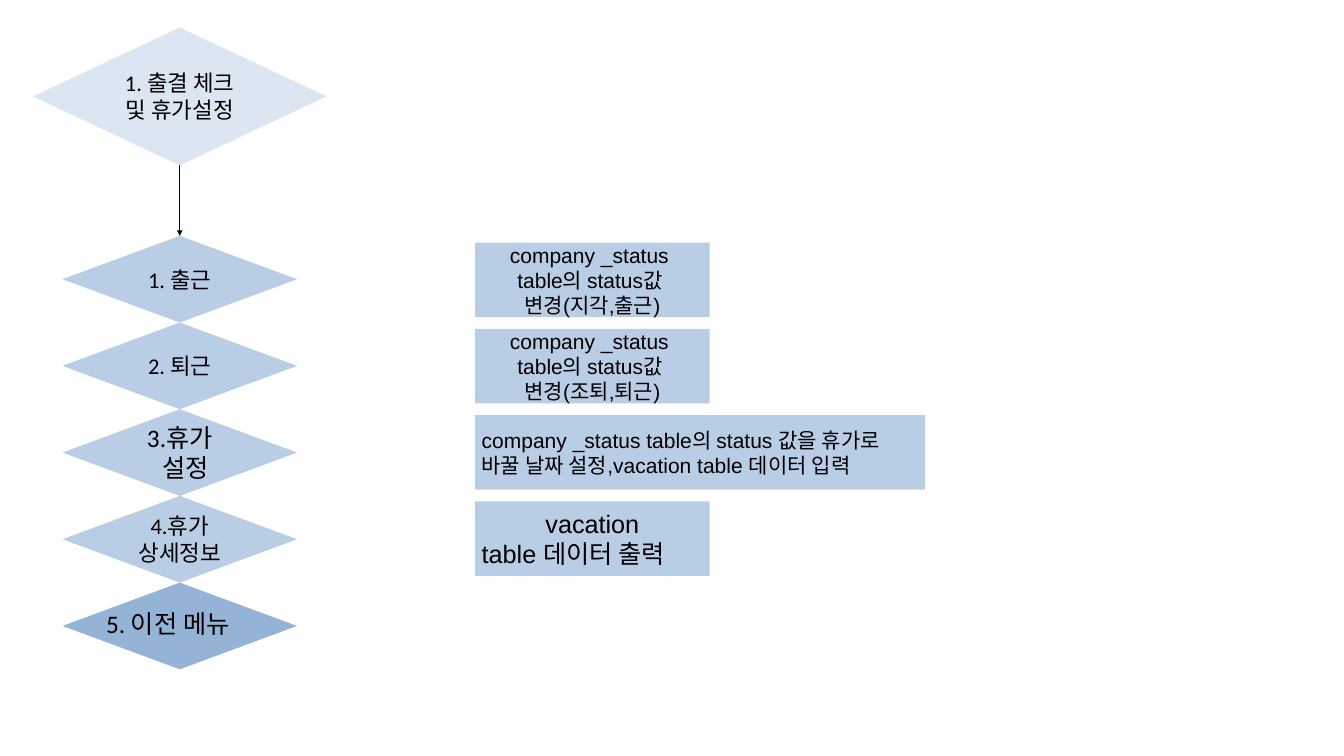
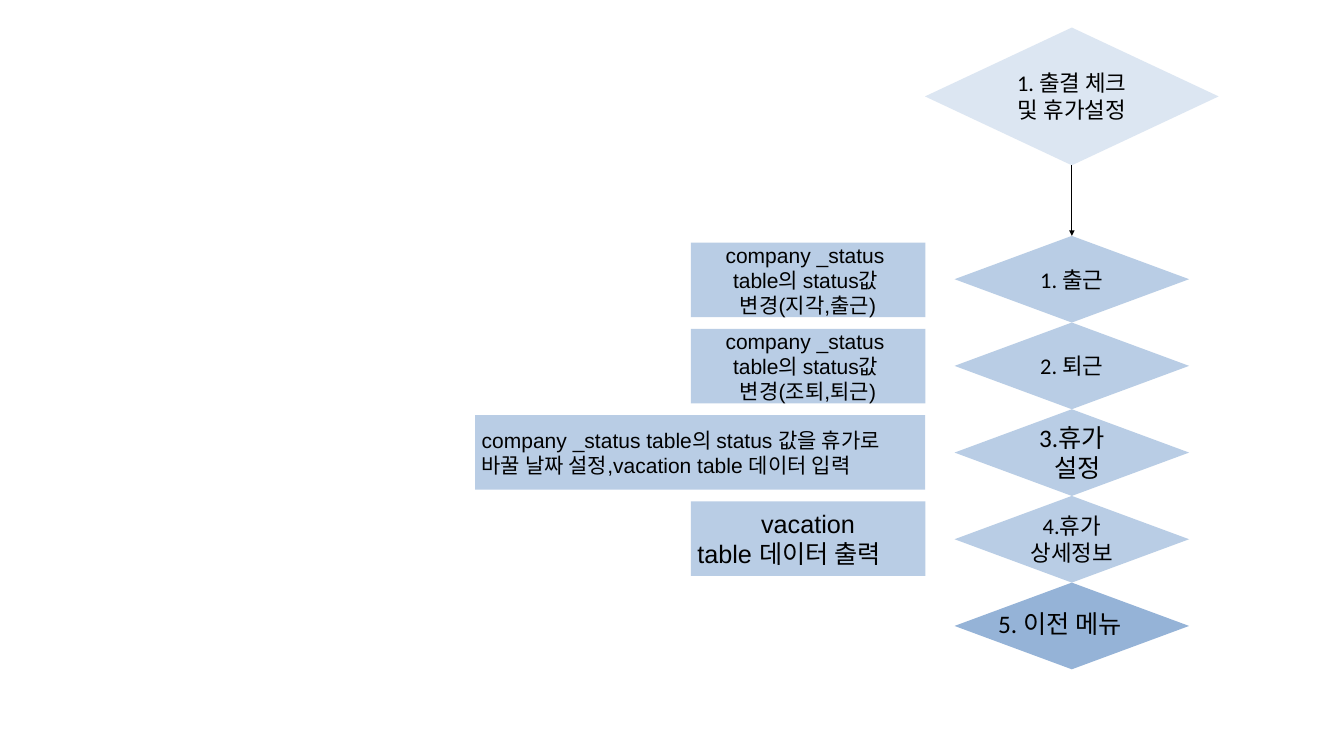
from dataclasses import dataclass

from lxml.etree import SubElement
from pptx import Presentation
from pptx.dml.color import RGBColor
from pptx.enum.shapes import MSO_CONNECTOR, MSO_SHAPE
from pptx.enum.text import MSO_ANCHOR, MSO_AUTO_SIZE, PP_ALIGN
from pptx.oxml.ns import qn
from pptx.util import Pt


@dataclass(frozen=True)
class Theme:
    start: RGBColor = RGBColor(0xDC, 0xE6, 0xF2)
    step: RGBColor = RGBColor(0xB9, 0xCD, 0xE5)
    back: RGBColor = RGBColor(0x95, 0xB3, 0xD7)
    ink: RGBColor = RGBColor(0, 0, 0)
    menu_font: str = "Calibri"
    note_font: str = "Arial"
    small: float = 22.5
    normal: float = 24
    large: float = 27


theme = Theme()
CENTER, LEFT = PP_ALIGN.CENTER, PP_ALIGN.LEFT

# Layout in points
START_TOP, START_WIDTH, START_HEIGHT = 29.5, 314.6, 147.6
STEP_TOP, STEP_WIDTH, STEP_HEIGHT = 252.7, 251.3, 92.88
NOTE_TOP, NOTE_HEIGHT, NOTE_PITCH = 259.9, 79.9, 92.4
NOTE_WIDTH, WIDE_NOTE_WIDTH = 251.3, 482.4
NOTES_LEFT = 509
NOTES_RIGHT = NOTES_LEFT + WIDE_NOTE_WIDTH

# Menu steps: lines, type size, indent of the last line
steps = [
    (["1. 출근"], theme.normal, 0),
    (["2. 퇴근"], theme.normal, 0),
    (["3.휴가", "설정"], theme.large, 12),
    (["4.휴가", "상세정보"], theme.normal, 0),
]

# Notes beside the steps: lines, alignment of each line, type size, width
notes = [
    (["company _status ", "table의 status값 ", "변경(지각,출근)"],
     [CENTER] * 3, theme.small, NOTE_WIDTH),
    (["company _status ", "table의 status값 ", "변경(조퇴,퇴근)"],
     [CENTER] * 3, theme.small, NOTE_WIDTH),
    (["company _status table의 status 값을 휴가로 바꿀 날짜 설정,vacation table 데이터 입력"],
     [LEFT], theme.small, WIDE_NOTE_WIDTH),
    (["vacation", "table 데이터 출력"], [CENTER, LEFT], theme.large, NOTE_WIDTH),
]

# Middle of the menu column and side of the notes that lines up
slide_layouts = [(192.6, "left"), (1148.4, "right")]


def write_lines(shape, lines, alignments, font_name, size):
    text_frame = shape.text_frame
    text_frame.text = "\n".join(lines)
    for paragraph, alignment in zip(text_frame.paragraphs, alignments):
        paragraph.alignment = alignment
        for run in paragraph.runs:
            run.font.name = font_name
            run.font.size = Pt(size)
            run.font.color.rgb = theme.ink


def add_block(slide, kind, left, top, width, height, color):
    shape = slide.shapes.add_shape(kind, Pt(left), Pt(top), Pt(width), Pt(height))
    shape.shadow.inherit = False
    shape.fill.solid()
    shape.fill.fore_color.rgb = color
    shape.line.fill.background()
    shape.text_frame.word_wrap = True
    shape.text_frame.vertical_anchor = MSO_ANCHOR.MIDDLE
    return shape


presentation = Presentation()
presentation.slide_width, presentation.slide_height = Pt(1440), Pt(810)

for menu_center, notes_side in slide_layouts:
    slide = presentation.slides.add_slide(presentation.slide_layouts[6])
    step_left = menu_center - STEP_WIDTH / 2

    # Start of the menu
    start = add_block(slide, MSO_SHAPE.FLOWCHART_DECISION, menu_center - START_WIDTH / 2,
                      START_TOP, START_WIDTH, START_HEIGHT, theme.start)
    write_lines(start, ["1. 출결 체크 및 휴가설정"], [CENTER], theme.menu_font, theme.normal)

    # Stack of menu steps
    step_shapes = []
    for index, (lines, size, indent) in enumerate(steps):
        step = add_block(slide, MSO_SHAPE.FLOWCHART_DECISION, step_left,
                         STEP_TOP + index * STEP_HEIGHT, STEP_WIDTH, STEP_HEIGHT, theme.step)
        write_lines(step, lines, [CENTER] * len(lines), theme.menu_font, size)
        if indent:
            properties = step.text_frame.paragraphs[-1]._p.get_or_add_pPr()
            properties.set("marL", str(Pt(indent)))
        step_shapes.append(step)

    # Arrow from the start to the first step
    arrow = slide.shapes.add_connector(MSO_CONNECTOR.STRAIGHT, 0, 0, 0, 0)
    arrow.begin_connect(start, 2)
    arrow.end_connect(step_shapes[0], 0)
    arrow.line.color.rgb = theme.ink
    arrow.line.width = Pt(0.75)
    SubElement(arrow.line._get_or_add_ln(), qn("a:tailEnd"), type="triangle")
    SubElement(arrow._element.spPr, qn("a:effectLst"))

    # Way back to the previous menu
    back_top = STEP_TOP + len(steps) * STEP_HEIGHT
    add_block(slide, MSO_SHAPE.FLOWCHART_DECISION, step_left, back_top,
              STEP_WIDTH, STEP_HEIGHT, theme.back)

    # Notes on what each step does
    for index, (lines, alignments, size, width) in enumerate(notes):
        note_left = NOTES_LEFT if notes_side == "left" else NOTES_RIGHT - width
        note = add_block(slide, MSO_SHAPE.RECTANGLE, note_left,
                         NOTE_TOP + index * NOTE_PITCH, width, NOTE_HEIGHT, theme.step)
        write_lines(note, lines, alignments, theme.note_font, size)

    # Label of the way back
    label = slide.shapes.add_textbox(Pt(menu_center - 86), Pt(back_top + 24.5),
                                     Pt(157), Pt(40.3))
    label.text_frame.word_wrap = False
    label.text_frame.auto_size = MSO_AUTO_SIZE.SHAPE_TO_FIT_TEXT
    write_lines(label, ["5. 이전 메뉴"], [LEFT], theme.menu_font, theme.large)

presentation.save("out.pptx")
